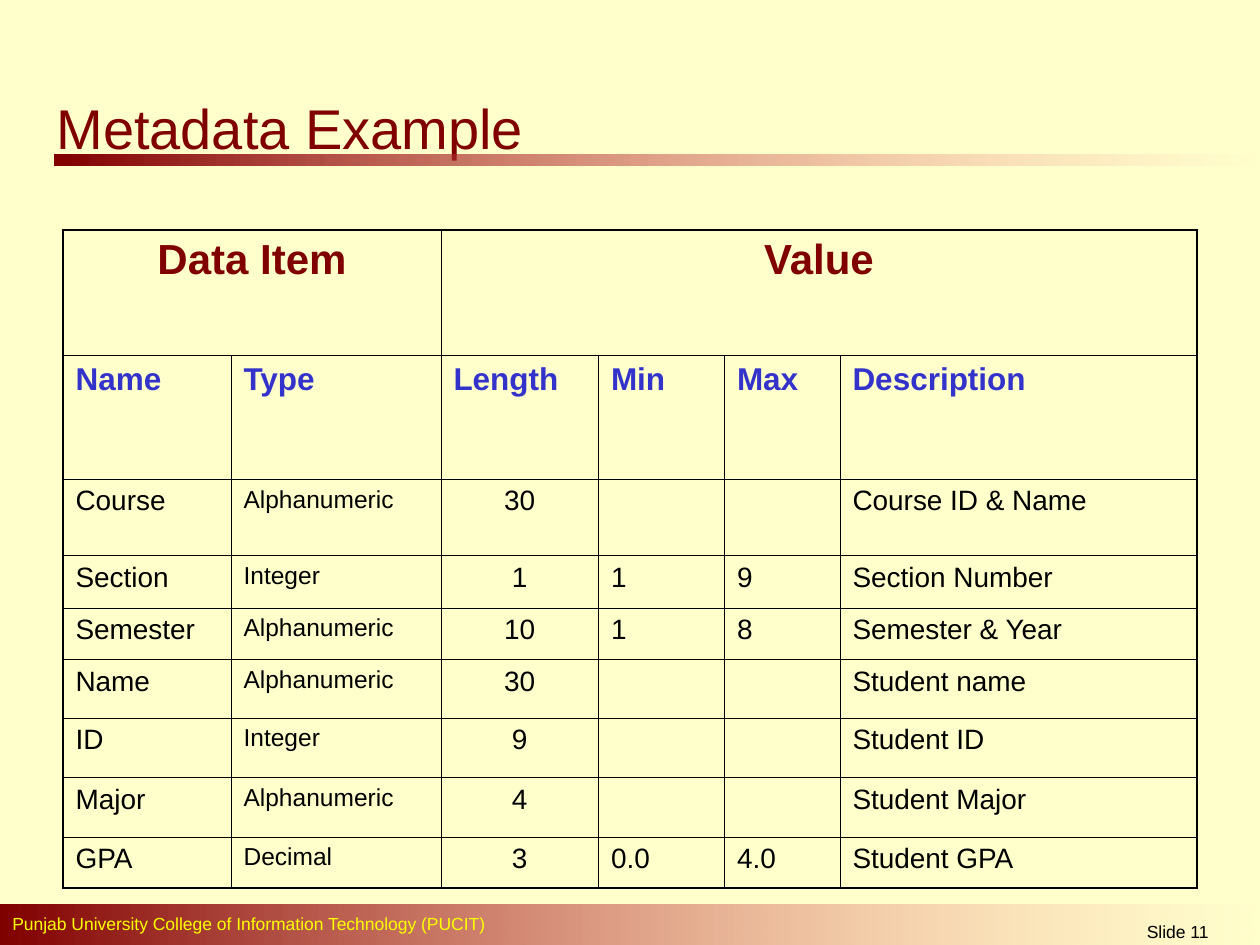
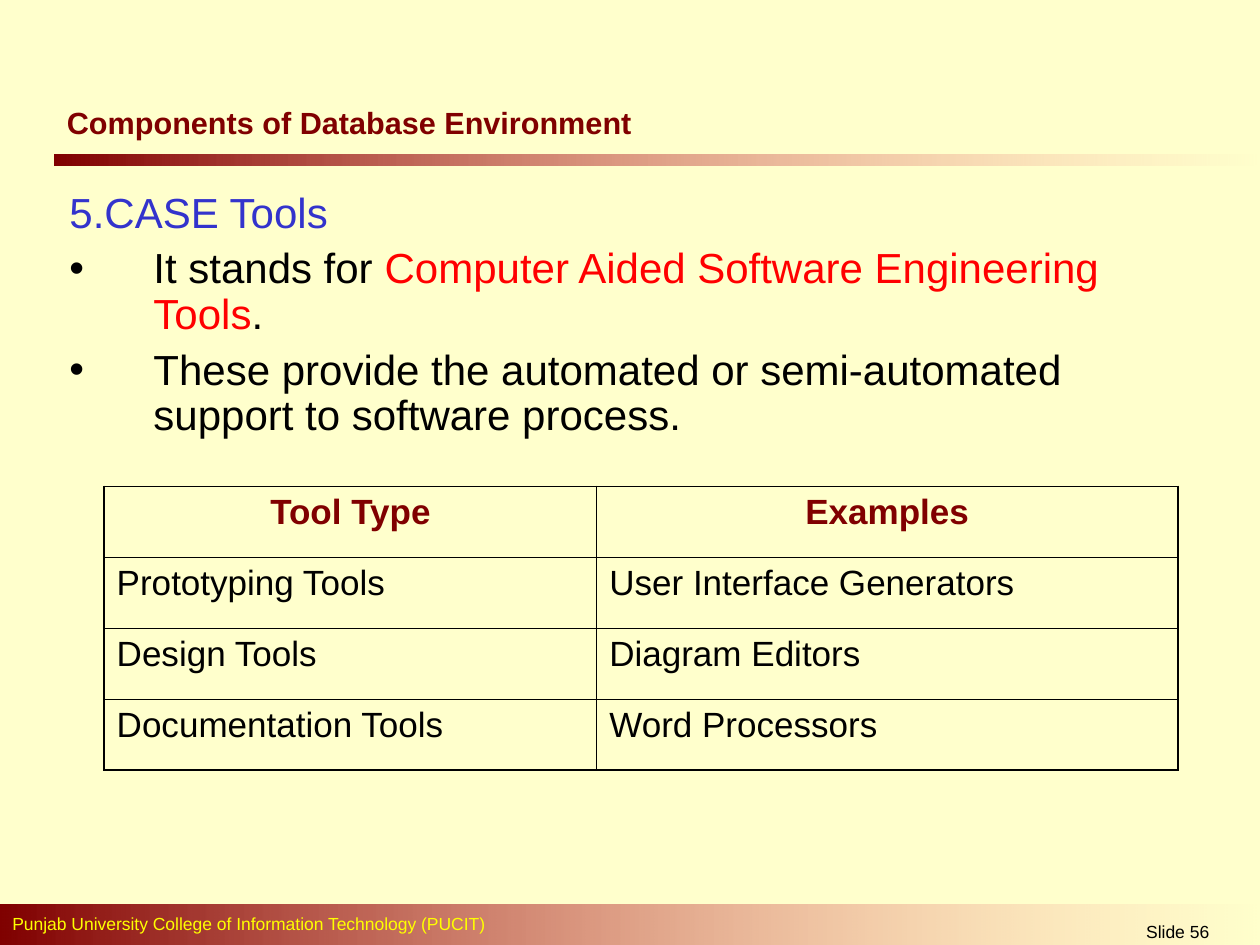
"""Build two database lecture slides with shared bands, titles and ruled tables."""
from dataclasses import dataclass

from lxml.etree import SubElement
from pptx import Presentation
from pptx.dml.color import RGBColor
from pptx.enum.shapes import MSO_SHAPE
from pptx.enum.text import MSO_ANCHOR, MSO_AUTO_SIZE, PP_ALIGN
from pptx.oxml.ns import qn
from pptx.util import Pt


@dataclass(frozen=True)
class TextStyle:
    size: float
    color: str
    bold: bool = False
    align: PP_ALIGN = PP_ALIGN.LEFT


@dataclass(frozen=True)
class Theme:
    font: str = "Arial"
    background: str = "FFFFCC"
    maroon: str = "800000"
    pink: str = "FF8585"
    blue: str = "3333CC"
    black: str = "000000"
    red: str = "FF0000"
    yellow: str = "FFFF00"
    title_size: float = 32
    small_title_size: float = 17.5
    list_size: float = 24
    heading_size: float = 24
    subheading_size: float = 18
    tool_size: float = 20
    cell_size: float = 16
    type_size: float = 14
    footer_size: float = 10
    outer_border: float = 1.08
    inner_border: float = 0.45


class SlideBuilder:
    def __init__(self, deck, theme):
        self.deck = deck
        self.theme = theme
        self.page = None
        fill = deck.slide_master.background.fill
        fill.solid()
        fill.fore_color.rgb = RGBColor.from_string(theme.background)

    def start_page(self, layout_index, number):
        theme = self.theme
        self.page = self.deck.slides.add_slide(self.deck.slide_layouts[layout_index])
        self.band(31, 88.5, 689, 6)
        self.band(0, 517, 720, 23)
        self.label("Punjab University College of Information Technology (PUCIT)",
                   0, 518.4, 462, 19.6, TextStyle(theme.footer_size, theme.yellow))
        self.label(f"Slide {number}", 627, 522.5, 92, 17.5,
                   TextStyle(theme.footer_size, theme.black, align=PP_ALIGN.CENTER))

    def format_span(self, span, style, color=None):
        span.font.name = self.theme.font
        span.font.size = Pt(style.size)
        span.font.bold = style.bold
        span.font.color.rgb = RGBColor.from_string(color or style.color)

    def format_para(self, para, style):
        para.alignment = style.align
        for span in para.runs:
            self.format_span(span, style)

    def place(self, box, left, top, width, height):
        box.left, box.top, box.width, box.height = map(Pt, (left, top, width, height))

    def band(self, left, top, width, height):
        box = self.page.shapes.add_shape(
            MSO_SHAPE.RECTANGLE, Pt(left), Pt(top), Pt(width), Pt(height))
        box.shadow.inherit = False
        box.line.fill.background()
        box.fill.gradient()
        box.fill.gradient_angle = 0
        for stop, color in zip(box.fill.gradient_stops, (self.theme.maroon, self.theme.pink)):
            stop.color.rgb = RGBColor.from_string(color)
        end_color = list(box._element.spPr.iter(qn("a:srgbClr")))[-1]
        SubElement(end_color, qn("a:alpha"), val="0")

    def label(self, text, left, top, width, height, style):
        box = self.page.shapes.add_textbox(Pt(left), Pt(top), Pt(width), Pt(height))
        box.text_frame.word_wrap = True
        box.text_frame.text = text
        self.format_para(box.text_frame.paragraphs[0], style)

    def title(self, text, left, top, width, height, style):
        box = self.page.shapes.title
        self.place(box, left, top, width, height)
        frame = box.text_frame
        frame.text = text
        frame.auto_size = MSO_AUTO_SIZE.NONE
        frame.vertical_anchor = MSO_ANCHOR.MIDDLE
        self.format_para(frame.paragraphs[0], style)

    def bullet_list(self, items, left, top, width, height, style):
        box = self.page.placeholders[1]
        self.place(box, left, top, width, height)
        frame = box.text_frame
        frame.auto_size = MSO_AUTO_SIZE.NONE
        for index, (bulleted, spans) in enumerate(items):
            para = frame.add_paragraph() if index else frame.paragraphs[0]
            self.set_bullet(para, bulleted)
            para.line_spacing = 0.9
            para.space_before = Pt(6 if index else 0)
            para.alignment = style.align
            for text, color in spans:
                span = para.add_run()
                span.text = text
                self.format_span(span, style, color)

    def set_bullet(self, para, bulleted):
        properties = para._p.get_or_add_pPr()
        properties.set("marL", str(Pt(48)))
        properties.set("indent", str(-Pt(48)))
        if bulleted:
            color = SubElement(properties, qn("a:buClr"))
            SubElement(color, qn("a:srgbClr"), val=self.theme.black)
            SubElement(properties, qn("a:buFont"), typeface=self.theme.font)
            SubElement(properties, qn("a:buChar"), char="•")
        else:
            SubElement(properties, qn("a:buNone"))

    def table(self, rows, styles, left, top, widths, heights, spans=()):
        frame = self.page.shapes.add_table(
            len(rows), len(widths), Pt(left), Pt(top), Pt(sum(widths)), Pt(sum(heights)))
        grid = frame.table
        grid.first_row = grid.horz_banding = False
        for column, width in zip(grid.columns, widths):
            column.width = Pt(width)
        for row, height in zip(grid.rows, heights):
            row.height = Pt(height)
        for row, column, count in spans:
            grid.cell(row, column).merge(grid.cell(row, column + count - 1))
        for row, texts in enumerate(rows):
            for column, text in enumerate(texts):
                cell = grid.cell(row, column)
                if cell.is_spanned:
                    continue
                cell.text_frame.text = text
                self.format_para(cell.text_frame.paragraphs[0], styles[row][column])
                last = column + (cell.span_width if cell.is_merge_origin else 1)
                self.borders(cell, {"L": column == 0, "R": last == len(widths),
                                    "T": row == 0, "B": row == len(rows) - 1})
                cell.fill.background()

    def borders(self, cell, outer_sides):
        properties = cell._tc.get_or_add_tcPr()
        for side, outer in outer_sides.items():
            width = self.theme.outer_border if outer else self.theme.inner_border
            line = SubElement(properties, qn(f"a:ln{side}"), w=str(Pt(width)))
            fill = SubElement(line, qn("a:solidFill"))
            SubElement(fill, qn("a:srgbClr"), val=self.theme.black)


def build_metadata_page(builder):
    theme = builder.theme
    builder.start_page(5, 11)
    builder.title("Metadata Example", 25, 49, 652, 47.5,
                  TextStyle(theme.title_size, theme.maroon))
    heading = TextStyle(theme.heading_size, theme.maroon, True, PP_ALIGN.CENTER)
    subheading = TextStyle(theme.subheading_size, theme.blue, True)
    plain = TextStyle(theme.cell_size, theme.black)
    data_type = TextStyle(theme.type_size, theme.black)
    length = TextStyle(theme.cell_size, theme.black, align=PP_ALIGN.CENTER)
    rows = [
        ["Data Item", "", "Value", "", "", ""],
        ["Name", "Type", "Length", "Min", "Max", "Description"],
        ["Course", "Alphanumeric", "30", "", "", "Course ID & Name"],
        ["Section", "Integer", "1", "1", "9", "Section Number"],
        ["Semester", "Alphanumeric", "10", "1", "8", "Semester & Year"],
        ["Name", "Alphanumeric", "30", "", "", "Student name"],
        ["ID", "Integer", "9", "", "", "Student ID"],
        ["Major", "Alphanumeric", "4", "", "", "Student Major"],
        ["GPA", "Decimal", "3", "0.0", "4.0", "Student GPA"],
    ]
    item_styles = [plain, data_type, length, plain, plain, plain]
    styles = [[heading] * 6, [subheading] * 6] + [item_styles] * 7
    builder.table(rows, styles, 36, 131.5, [96, 120, 90, 72, 66, 204],
                  [71.5, 71, 43.5, 30, 29.5, 33.5, 34, 34, 29],
                  spans=[(0, 0, 2), (0, 2, 4)])


def build_tools_page(builder):
    theme = builder.theme
    builder.start_page(1, 56)
    builder.title("Components of Database Environment", 31, 55, 538.5, 30,
                  TextStyle(theme.small_title_size, theme.maroon, True))
    items = [
        (False, [("5.CASE Tools", theme.blue)]),
        (True, [("It stands for ", theme.black),
                ("Computer Aided Software Engineering Tools", theme.red),
                (".", theme.black)]),
        (True, [("These provide the automated or semi-automated support "
                 "to software process.", theme.black)]),
    ]
    builder.bullet_list(items, 32.5, 106, 645, 159, TextStyle(theme.list_size, theme.black))
    heading = TextStyle(theme.tool_size, theme.maroon, True, PP_ALIGN.CENTER)
    plain = TextStyle(theme.tool_size, theme.black)
    rows = [
        ["Tool Type", "Examples"],
        ["Prototyping Tools", "User Interface Generators"],
        ["Design Tools", "Diagram Editors"],
        ["Documentation Tools", "Word Processors"],
    ]
    builder.table(rows, [[heading] * 2] + [[plain] * 2] * 3, 59.5, 278,
                  [281.5, 332], [40.5] * 4)


def main():
    deck = Presentation()
    deck.slide_width, deck.slide_height = Pt(720), Pt(540)
    builder = SlideBuilder(deck, Theme())
    build_metadata_page(builder)
    build_tools_page(builder)
    deck.save("out.pptx")


if __name__ == "__main__":
    main()
